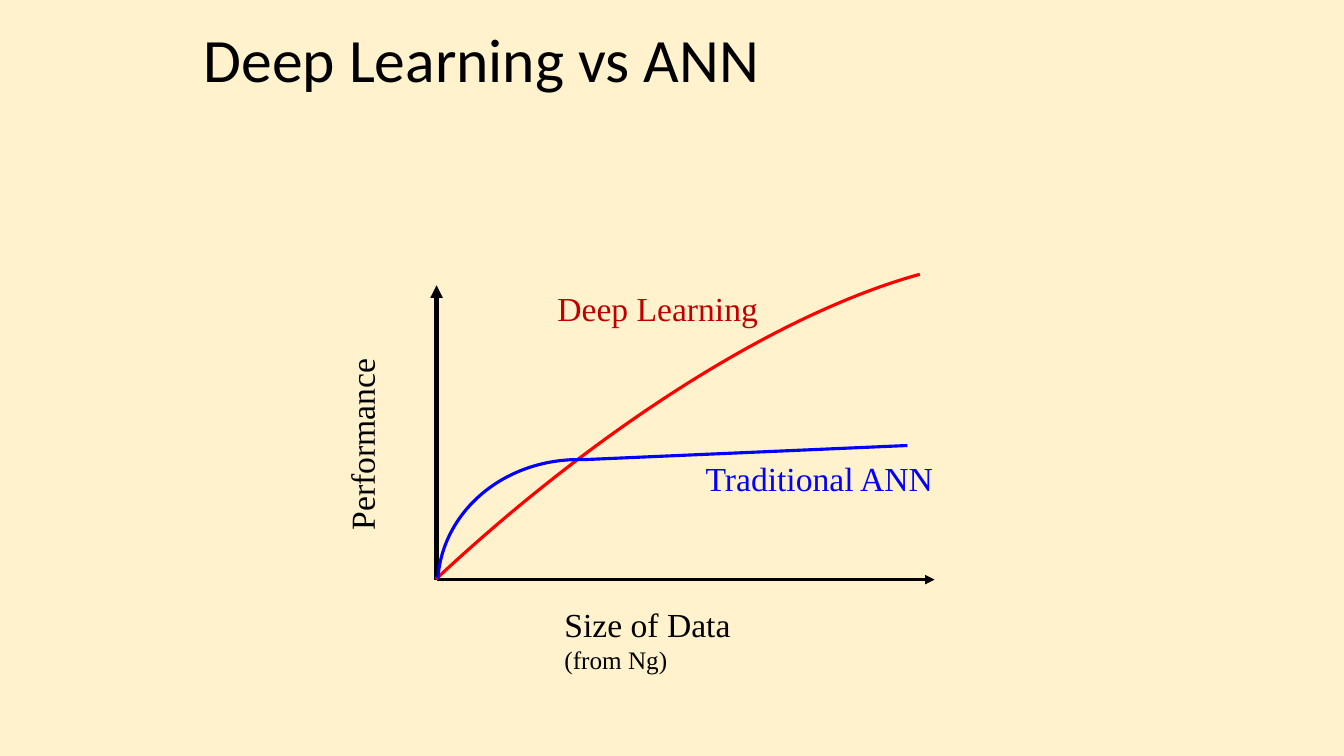
"""Build a slide sketching performance against data size for deep learning and ANN."""
from lxml import etree
from pptx import Presentation
from pptx.dml.color import RGBColor
from pptx.enum import shapes, text
from pptx.oxml.ns import qn
from pptx.util import Inches, Pt

COLORS = {"paper": "FFF2CC", "ink": "000000", "deep": "FF0000",
          "deep label": "C00000", "ann": "0000FF"}
TITLE = "Deep Learning vs ANN"
ORIGIN = (4.33, 5.75)

# (end, width)
AXES = [((4.33, 2.83), 3), ((9.27, 5.75), 2.25)]
ANN_PLATEAU = ((5.79, 4.56), (9, 4.42))
CURVES = [
    ((-0.77, 5.06, 13.66, 5.08), 316.9, (162, 207.134), "deep"),
    ((4.48, 4.42, 2.55, 2.83), 273.9, (162, 214.679), "ann"),
]
LABELS = [
    ((5.5, 5.94, 3.17, 0.81), 0, "ink", [("Size of Data", 24), ("(from Ng)", 18)]),
    ((2, 4.16, 3.17, 0.5), 270, "ink", [("Performance", 24)]),
    ((6.9, 4.49, 3.93, 0.51), 0, "ann", [("Traditional ANN", 24)]),
    ((5.43, 2.81, 3.93, 0.51), 0, "deep label", [("Deep Learning", 24)]),
]


def inches(values):
    return [Inches(value) for value in values]


def rgb(name):
    return RGBColor.from_string(COLORS[name])


def style_line(line, color, width):
    line.color.rgb = rgb(color)
    line.width = Pt(width)


def add_line(slide, start, end, color, width, arrow=False):
    stroke = slide.shapes.add_connector(
        shapes.MSO_CONNECTOR.STRAIGHT, *inches(start + end))
    style_line(stroke.line, color, width)
    properties = stroke._element.spPr
    if arrow:
        etree.SubElement(properties.find(qn("a:ln")), qn("a:tailEnd"), type="triangle")
    etree.SubElement(properties, qn("a:effectLst"))


def add_curve(slide, box, rotation, angles, color):
    curve = slide.shapes.add_shape(shapes.MSO_SHAPE.ARC, *inches(box))
    curve.shadow.inherit = False
    curve.rotation = rotation
    for index, angle in enumerate(angles):
        curve.adjustments[index] = angle
    curve.fill.background()
    style_line(curve.line, color, 2.25)


def add_label(slide, box, rotation, color, lines):
    label = slide.shapes.add_textbox(*inches(box))
    label.rotation = rotation
    frame = label.text_frame
    frame.word_wrap = True
    frame.text = "\n".join(line for line, size in lines)
    for paragraph, (line, size) in zip(frame.paragraphs, lines):
        paragraph.font.name = "Times New Roman"
        paragraph.font.size = Pt(size)
        paragraph.font.color.rgb = rgb(color)
        if rotation:
            paragraph.alignment = text.PP_ALIGN.CENTER


def add_title(slide):
    title = slide.shapes.title
    title.left, title.top, title.width, title.height = inches((1.92, 0, 8.5, 1.25))
    title.text_frame.text = TITLE
    title.text_frame.vertical_anchor = text.MSO_ANCHOR.MIDDLE
    heading = title.text_frame.paragraphs[0]
    heading.alignment = text.PP_ALIGN.LEFT
    heading.line_spacing = 0.9
    heading.font.name = "Calibri"
    heading.font.size = Pt(44)
    heading.font.color.rgb = rgb("ink")


def main():
    deck = Presentation()
    deck.slide_width, deck.slide_height = inches((13.33, 7.5))
    slide = deck.slides.add_slide(deck.slide_layouts[5])
    slide.background.fill.solid()
    slide.background.fill.fore_color.rgb = rgb("paper")
    add_title(slide)
    for end, width in AXES:
        add_line(slide, ORIGIN, end, "ink", width, arrow=True)
    for curve in CURVES:
        add_curve(slide, *curve)
    add_line(slide, *ANN_PLATEAU, "ann", 2.25)
    for label in LABELS:
        add_label(slide, *label)
    deck.save("out.pptx")


if __name__ == "__main__":
    main()
